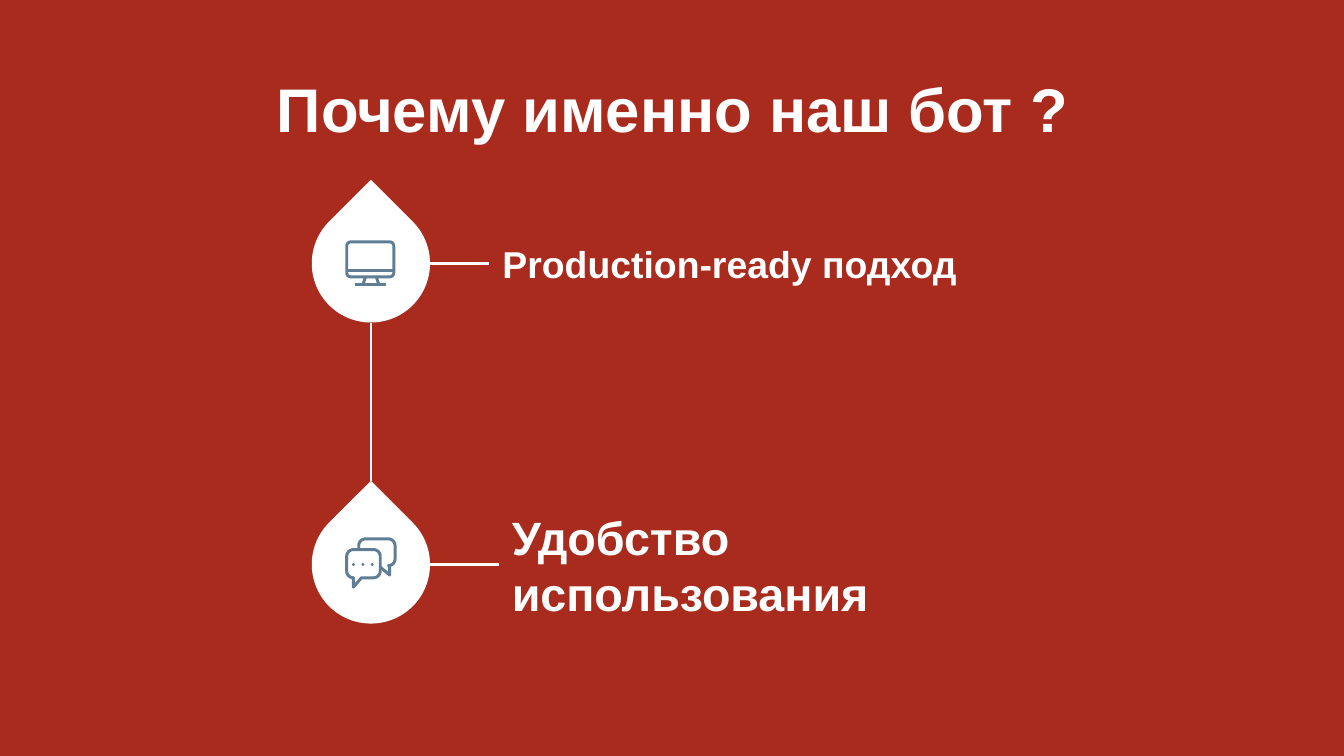
from math import cos, radians, sin, sqrt

from lxml.etree import SubElement
from pptx import Presentation
from pptx.dml.color import RGBColor
from pptx.enum.shapes import MSO_CONNECTOR as Connector, MSO_SHAPE as Shape
from pptx.enum.text import MSO_ANCHOR as Anchor, PP_ALIGN as Align
from pptx.oxml.ns import qn
from pptx.util import Inches, Pt

COLORS = {"background": "A82B1E", "white": "FFFFFF", "icon": "5F7D95"}
DROP_SIZE = 0.88


def color(name):
    return RGBColor.from_string(COLORS[name])


def add_preset(slide, kind, left, top, width, height, fill):
    shape = slide.shapes.add_shape(
        kind, Inches(left), Inches(top), Inches(width), Inches(height))
    shape.shadow.inherit = False
    shape.fill.solid()
    shape.fill.fore_color.rgb = color(fill)
    shape.line.fill.background()
    return shape


def add_line(slide, start, end):
    connector = slide.shapes.add_connector(
        Connector.STRAIGHT, *map(Inches, start + end))
    connector.line.color.rgb = color("white")
    connector.line.width = Pt(1.5)
    SubElement(connector._element.spPr, qn("a:effectLst"))


def add_text(slide, text, left, top, width, height, size, align=Align.LEFT):
    box = slide.shapes.add_textbox(
        Inches(left), Inches(top), Inches(width), Inches(height))
    frame = box.text_frame
    frame.word_wrap = True
    frame.vertical_anchor = Anchor.MIDDLE
    frame.margin_left = frame.margin_right = Inches(0.1)
    frame.margin_top = frame.margin_bottom = Inches(0.1)
    paragraph = frame.paragraphs[0]
    paragraph.text = text
    paragraph.alignment = align
    paragraph.font.name = "Arial"
    paragraph.font.size = Pt(size)
    paragraph.font.bold = True
    paragraph.font.color.rgb = color("white")


def arc(x, y, radius, start):
    angles = [radians(start + step) for step in range(0, 91, 15)]
    return [(x + radius * cos(angle), y + radius * sin(angle)) for angle in angles]


def rounded_box(left, top, right, bottom, radius, tail=()):
    return (arc(left + radius, top + radius, radius, 180)
            + arc(right - radius, top + radius, radius, 270)
            + arc(right - radius, bottom - radius, radius, 0)
            + list(tail)
            + arc(left + radius, bottom - radius, radius, 90))


def add_icon(slide, x, y, contours):
    builder = None
    for points, closed in contours:
        corners = [(Inches(x + dx), Inches(y + dy)) for dx, dy in points]
        if builder is None:
            builder = slide.shapes.build_freeform(*corners[0])
        else:
            builder.move_to(*corners[0])
        builder.add_line_segments(corners[1:], close=closed)
    shape = builder.convert_to_shape()
    shape.shadow.inherit = False
    shape.fill.background()
    shape.line.color.rgb = color("icon")
    shape.line.width = Pt(1.6)


def add_monitor(slide, x, y):
    add_icon(slide, x, y, [
        (rounded_box(-0.18, -0.16, 0.17, 0.1, 0.03), True),
        ([(-0.18, 0.05), (0.17, 0.05)], False),
        ([(-0.04, 0.1), (-0.06, 0.16)], False),
        ([(0.04, 0.1), (0.06, 0.16)], False),
        ([(-0.12, 0.16), (0.11, 0.16)], False),
    ])


def add_chat(slide, x, y):
    back = (arc(-0.04, -0.14, 0.05, 180) + arc(0.13, -0.14, 0.05, 270)
            + arc(0.13, -0.04, 0.05, 0))
    front_tail = [(-0.07, 0.1), (-0.13, 0.17), (-0.13, 0.1)]
    add_icon(slide, x, y, [
        ([(-0.09, -0.11)] + back + [(0.14, 0.01), (0.14, 0.08), (0.07, 0.02)], False),
        (rounded_box(-0.18, -0.11, 0.07, 0.1, 0.05, front_tail), True),
    ])
    for index in range(3):
        add_preset(slide, Shape.OVAL, x - 0.14 + index * 0.07, y - 0.01,
                   0.02, 0.02, "icon")


def add_reason(slide, left, top, text, label_gap, label_width, label_height, size, draw_icon):
    drop = add_preset(slide, Shape.TEAR, left, top, DROP_SIZE, DROP_SIZE, "white")
    drop.adjustments[0] = 1
    drop.rotation = 315
    x, y = left + DROP_SIZE / 2, top + DROP_SIZE / 2
    right = left + DROP_SIZE
    add_line(slide, (right + label_gap, y), (right, y))
    add_text(slide, text, right + label_gap, y - label_height / 2,
             label_width, label_height, size)
    draw_icon(slide, x, y)


def add_reasons(slide, left, top, pitch):
    center = left + DROP_SIZE / 2
    tip = top + pitch + DROP_SIZE / 2 * (1 - sqrt(2))
    add_line(slide, (center, top + DROP_SIZE), (center, tip))
    reasons = [
        ("Production-ready подход", 0.44, 3.8, 0.56, 20, add_monitor),
        ("Удобство использования", 0.51, 3.34, 0.68, 25, add_chat),
    ]
    for index, reason in enumerate(reasons):
        add_reason(slide, left, top + index * pitch, *reason)


def main():
    presentation = Presentation()
    presentation.slide_width = Inches(10)
    presentation.slide_height = presentation.slide_width * 9 // 16
    slide = presentation.slides.add_slide(presentation.slide_layouts[6])
    slide.background.fill.solid()
    slide.background.fill.fore_color.rgb = color("background")
    add_text(slide, "Почему именно наш бот ?", 0.79, 0.49, 8.43, 0.63, 33, Align.CENTER)
    add_reasons(slide, 2.32, 1.52, 2.24)
    presentation.save("out.pptx")


if __name__ == "__main__":
    main()
